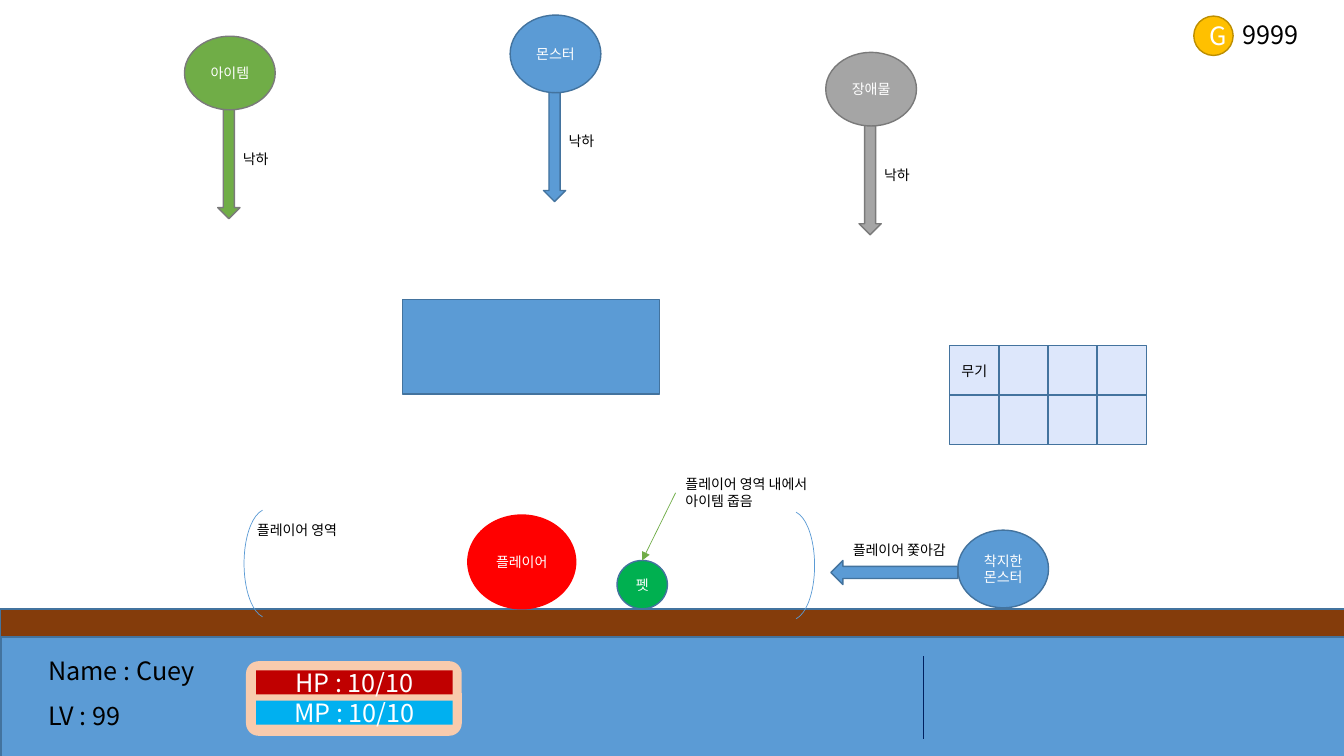
from dataclasses import dataclass
from itertools import product

from pptx import Presentation
from pptx.dml.color import RGBColor
from pptx.enum.shapes import MSO_CONNECTOR, MSO_SHAPE
from pptx.enum.text import MSO_ANCHOR, MSO_AUTO_SIZE, PP_ALIGN
from pptx.oxml.ns import qn
from pptx.util import Inches, Pt
from lxml.etree import SubElement


@dataclass(frozen=True)
class Theme:
    """Colours, font and type sizes of the game screen."""
    font: str = "Noto Sans CJK KR"
    small: int = 10
    large: int = 18
    black: str = "000000"
    white: str = "FFFFFF"
    blue: str = "5B9BD5"
    edge: str = "43739E"
    green: str = "70AD47"
    gray: str = "A5A5A5"
    gray_edge: str = "7A7A7A"
    soil: str = "843C0B"
    red: str = "FF0000"
    pet: str = "00B050"
    gold: str = "FFC000"
    gold_edge: str = "BD8E00"
    slot: str = "DDE7FB"
    frame: str = "F8CBAD"
    health: str = "C00000"
    mana: str = "00B0F0"
    divider: str = "002060"


THEME = Theme()


def apply_format(target, values):
    """Set every named attribute on the target."""
    for name, value in values.items():
        setattr(target, name, value)


def write(frame, lines, size, color, align):
    """Fill a text frame with one paragraph per line."""
    for index, line in enumerate(lines):
        para = frame.paragraphs[0] if index == 0 else frame.add_paragraph()
        para.alignment = align
        span = para.add_run()
        span.text = line
        apply_format(span.font, {"size": Pt(size), "name": THEME.font})
        span.font.color.rgb = RGBColor.from_string(color)
        SubElement(span.font._element, qn("a:ea"), typeface=THEME.font)


def add_block(page, kind, box, fill=None, edge=None, text="", size=THEME.small,
              color=THEME.white, weight=1):
    """Add a preset shape with optional fill, outline and centred text."""
    shape = page.shapes.add_shape(kind, *map(Inches, box))
    shape.shadow.inherit = False
    for paint, tone in ((shape.fill, fill), (shape.line.fill, edge)):
        if tone:
            paint.solid()
            paint.fore_color.rgb = RGBColor.from_string(tone)
        else:
            paint.background()
    if edge:
        shape.line.width = Pt(weight)
    if text:
        apply_format(shape.text_frame, {"word_wrap": True, "vertical_anchor": MSO_ANCHOR.MIDDLE})
        write(shape.text_frame, [text], size, color, PP_ALIGN.CENTER)
    return shape


def add_label(page, box, *lines, size=THEME.small):
    """Add a left-aligned text box that does not wrap."""
    frame = page.shapes.add_textbox(*map(Inches, box)).text_frame
    apply_format(frame, {"word_wrap": False, "auto_size": MSO_AUTO_SIZE.SHAPE_TO_FIT_TEXT})
    write(frame, lines, size, THEME.black, PP_ALIGN.LEFT)


def add_line(page, start, end, color, arrow=False):
    """Add a thin straight connector, with an arrowhead on request."""
    line = page.shapes.add_connector(MSO_CONNECTOR.STRAIGHT, *map(Inches, start + end))
    line.line.width = Pt(0.5)
    line.line.color.rgb = RGBColor.from_string(color)
    if arrow:
        SubElement(line.line._get_or_add_ln(), qn("a:tailEnd"), type="triangle")
    SubElement(line._element.spPr, qn("a:effectLst"))


def add_falling(page, box, name, fill, edge):
    """Draw a named ball with an arrow pointing down below it."""
    left, top, width, height = box
    arrow_top = top + height - 0.02
    add_block(page, MSO_SHAPE.DOWN_ARROW, (left + width / 2 - 0.12, arrow_top, 0.22, 1.1), fill, edge)
    add_block(page, MSO_SHAPE.OVAL, box, fill, edge, name)
    add_label(page, (left + 0.48, arrow_top + 0.37, 0.48, 0.27), "낙하")


def add_ground(page, box):
    """Draw the soil strip with the status panel over it."""
    left, top, width, height = box
    add_block(page, MSO_SHAPE.RECTANGLE, box, THEME.soil, THEME.edge)
    add_block(page, MSO_SHAPE.RECTANGLE, (left + 0.01, top + 0.28, width - 0.02, height - 0.27),
              THEME.blue, THEME.edge)
    add_line(page, (left + 9.16, top + 0.47), (left + 9.16, top + 1.29), THEME.divider)


def add_status(page, box):
    """Draw the player name, level and both gauges."""
    left, top, width, height = box
    add_label(page, (left, top, 1.68, 0.4), "Name : Cuey", size=THEME.large)
    add_label(page, (left, top + 0.45, 0.98, 0.4), "LV : 99", size=THEME.large)
    add_block(page, MSO_SHAPE.ROUNDED_RECTANGLE,
              (left + width - 2.14, top + 0.11, 2.14, height - 0.11), THEME.frame)
    gauges = (("HP : 10/10", THEME.health), ("MP : 10/10", THEME.mana))
    for row, (text, fill) in enumerate(gauges):
        add_block(page, MSO_SHAPE.RECTANGLE,
                  (left + width - 2.04, top + 0.2 + row * 0.3, 1.95, 0.24),
                  fill, text=text, size=THEME.large)


def add_player_zone(page, box):
    """Draw the player, the pet and the brackets around their zone."""
    left, top, width, height = box
    for x, y, turn in ((left, top, 180), (left + width - 0.46, top + 0.02, 0)):
        arc = add_block(page, MSO_SHAPE.ARC, (x, y, 0.46, height), edge=THEME.blue, weight=0.5)
        arc.adjustments[0], arc.adjustments[1] = 165.01, 50.97
        arc.rotation = turn
    add_label(page, (left + 0.03, top + 0.07, 1.09, 0.27), "플레이어 영역")
    add_block(page, MSO_SHAPE.OVAL, (left + 2.22, top + 0.06, 1.07, 0.93),
              THEME.red, THEME.red, "플레이어")
    add_block(page, MSO_SHAPE.OVAL, (left + 3.7, top + 0.51, 0.5, 0.48),
              THEME.pet, THEME.edge, "펫")
    add_label(page, (left + 4.28, top - 0.38, 1.56, 0.44),
              "플레이어 영역 내에서", "아이템 줍음")
    add_line(page, (left + 4.28, top - 0.16), (left + 3.95, top + 0.51), THEME.green, arrow=True)


def add_chaser(page, box):
    """Draw the landed monster and its arrow towards the player."""
    left, top, width, height = box
    add_block(page, MSO_SHAPE.OVAL, (left + width - 0.9, top, 0.9, height),
              THEME.blue, THEME.edge, "착지한몬스터")
    add_block(page, MSO_SHAPE.LEFT_ARROW, (left, top + 0.3, width - 0.9, 0.24),
              THEME.blue, THEME.edge)
    add_label(page, (left + 0.12, top + 0.06, 1.23, 0.27), "플레이어 쫓아감")


def add_inventory(page, box, rows=2, columns=4):
    """Draw a grid of equal slots, the first holding the weapon."""
    left, top, width, height = box
    for row, column in product(range(rows), range(columns)):
        cell = (left + column * width / columns, top + row * height / rows,
                width / columns, height / rows)
        add_block(page, MSO_SHAPE.RECTANGLE, cell, THEME.slot, THEME.edge,
                  "" if row or column else "무기", color=THEME.black)


def add_gold(page, box):
    """Draw the coin and the gold count."""
    left, top, width, height = box
    add_block(page, MSO_SHAPE.OVAL, (left, top + 0.02, 0.39, 0.39),
              THEME.gold, THEME.gold_edge, "G", THEME.large)
    add_label(page, (left + 0.39, top, width - 0.39, height), "9999", size=THEME.large)


def build():
    """Build the game screen slide and save it."""
    deck = Presentation()
    apply_format(deck, {"slide_width": Inches(13.33), "slide_height": Inches(7.5)})
    page = deck.slides.add_slide(deck.slide_layouts[6])
    add_ground(page, (0, 6.04, 13.4, 1.46))
    add_status(page, (0.38, 6.45, 4.2, 0.85))
    add_player_zone(page, (2.42, 5.05, 5.66, 1.08))
    add_chaser(page, (8.24, 5.26, 2.16, 0.77))
    add_falling(page, (1.83, 0.36, 0.9, 0.73), "아이템", THEME.green, THEME.gray_edge)
    add_falling(page, (5.06, 0.15, 0.9, 0.77), "몬스터", THEME.blue, THEME.edge)
    add_falling(page, (8.19, 0.52, 0.9, 0.73), "장애물", THEME.gray, THEME.gray_edge)
    add_gold(page, (11.84, 0.14, 1.15, 0.4))
    add_inventory(page, (9.42, 3.43, 1.95, 0.98))
    add_block(page, MSO_SHAPE.RECTANGLE, (3.99, 2.97, 2.55, 0.94), THEME.blue, THEME.edge)
    deck.save("out.pptx")


build()
